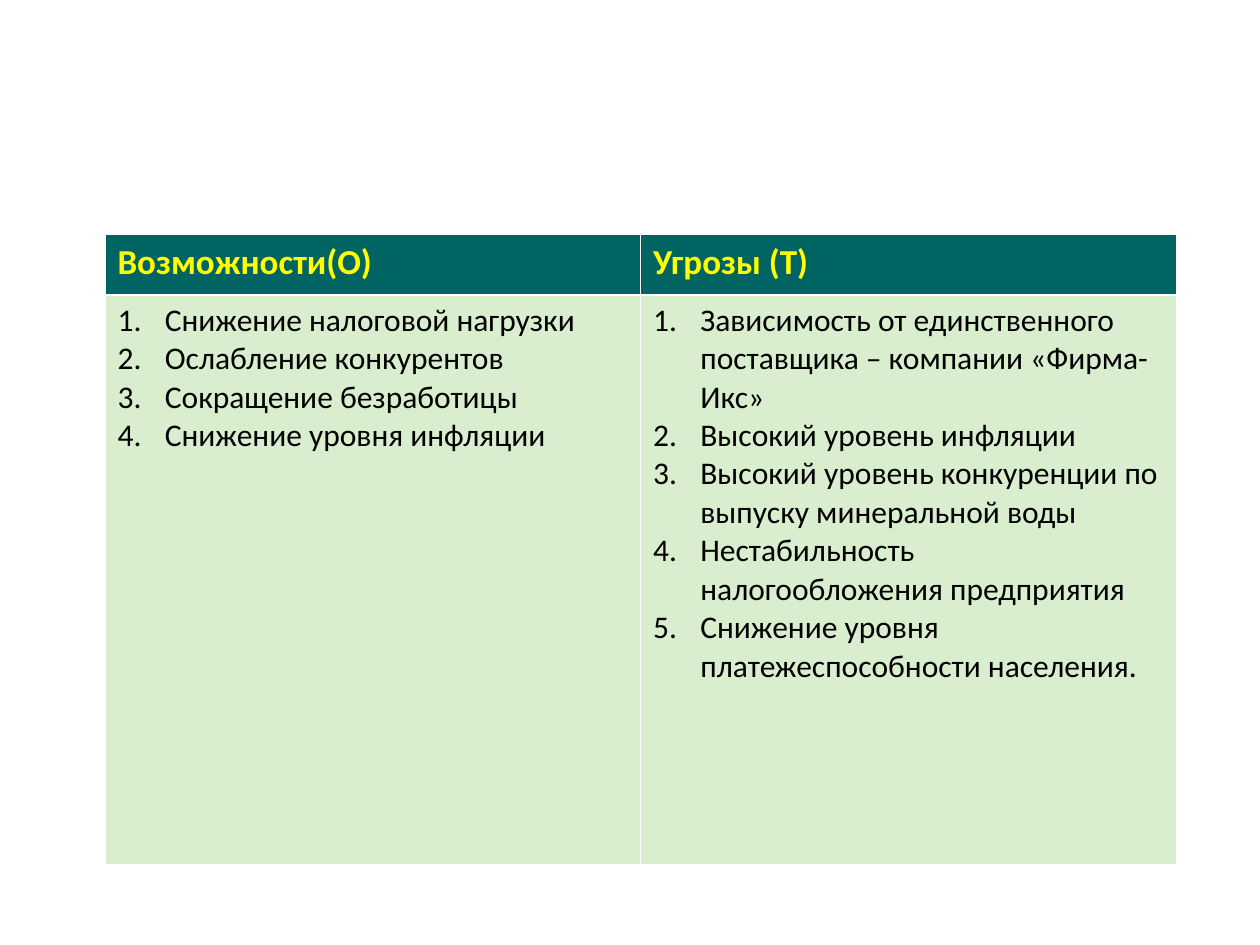
from lxml import etree
from pptx import Presentation
from pptx import util as u
from pptx.dml import color
from pptx.oxml import ns

HEADER_FILL, BODY_FILL = "006462", "D8EECE"
THIN, THICK = 0.45, 1.47
COLUMNS = [
    ("Возможности(O)", [
        "Снижение налоговой нагрузки",
        "Ослабление конкурентов",
        "Сокращение безработицы",
        "Снижение уровня инфляции",
    ]),
    ("Угрозы (T)", [
        "Зависимость от единственного поставщика – компании «Фирма-Икс»",
        "Высокий уровень инфляции",
        "Высокий уровень конкуренции по выпуску минеральной воды",
        "Нестабильность налогообложения предприятия",
        "Снижение уровня платежеспособности населения.",
    ]),
]


def rgb(value):
    return color.RGBColor.from_string(value)


def add_text(paragraph, content, size=18, fill="000000", bold=False):
    run = paragraph.add_run()
    run.text = content
    run.font.name = "Calibri"
    run.font.size = u.Pt(size)
    run.font.bold = bold
    run.font.color.rgb = rgb(fill)


def add_solid(parent, value):
    solid = etree.SubElement(parent, ns.qn("a:solidFill"))
    etree.SubElement(solid, ns.qn("a:srgbClr"), val=value)


def number_paragraph(paragraph, indent=27):
    """Give the paragraph an automatic number on a hanging indent."""
    properties = paragraph._p.get_or_add_pPr()
    properties.set("marL", str(u.Pt(indent)))
    properties.set("indent", str(-u.Pt(indent)))
    bullet_color = etree.SubElement(properties, ns.qn("a:buClr"))
    etree.SubElement(bullet_color, ns.qn("a:srgbClr"), val="000000")
    etree.SubElement(properties, ns.qn("a:buFont"), typeface="Calibri")
    etree.SubElement(properties, ns.qn("a:buAutoNum"), type="arabicPeriod")


def style_cell(cell, fill, top, bottom):
    """Fill the cell and draw white borders, with the given top and bottom widths."""
    cell.fill.solid()
    cell.fill.fore_color.rgb = rgb(fill)
    properties = cell._tc.get_or_add_tcPr()
    widths = {"a:lnL": THIN, "a:lnR": THIN, "a:lnT": top, "a:lnB": bottom}
    for position, (tag, width) in enumerate(widths.items()):
        border = etree.Element(ns.qn(tag), w=str(u.Pt(width)))
        add_solid(border, "FFFFFF")
        properties.insert(position, border)


def add_swot_table(slide, left, top, width, height, header_height=34.5):
    frame = slide.shapes.add_table(2, len(COLUMNS), u.Pt(left), u.Pt(top),
                                   u.Pt(width), u.Pt(height))
    table = frame.table
    table.rows[0].height = u.Pt(header_height)
    table.rows[1].height = u.Pt(height - header_height)
    for index, (heading, factors) in enumerate(COLUMNS):
        header, body = table.cell(0, index), table.cell(1, index)
        style_cell(header, HEADER_FILL, THIN, THICK)
        style_cell(body, BODY_FILL, THICK, THIN)
        add_text(header.text_frame.paragraphs[0], heading,
                 size=20, fill="FFFF00", bold=True)
        factor_list = body.text_frame
        for number, factor in enumerate(factors):
            paragraph = (factor_list.add_paragraph() if number
                         else factor_list.paragraphs[0])
            number_paragraph(paragraph)
            add_text(paragraph, factor)


def main():
    deck = Presentation()
    deck.slide_width, deck.slide_height = u.Pt(720), u.Pt(540)
    slide = deck.slides.add_slide(deck.slide_layouts[6])
    add_swot_table(slide, left=60, top=134, width=612, height=360)
    deck.save("out.pptx")


if __name__ == "__main__":
    main()
